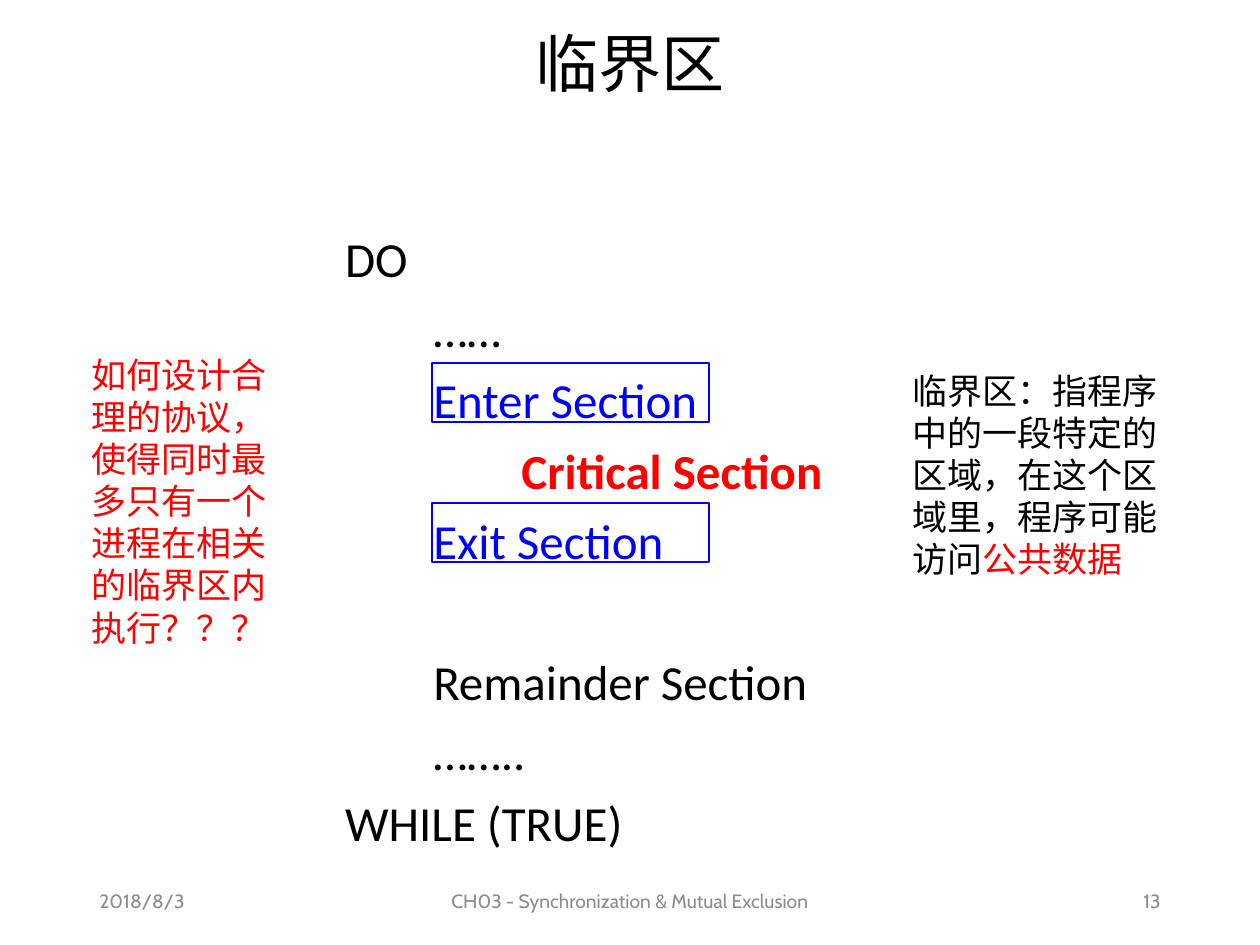
from pptx import Presentation
from pptx.dml.color import RGBColor
from pptx.enum.shapes import MSO_SHAPE
from pptx.enum.text import MSO_ANCHOR, PP_ALIGN
from pptx.oxml.ns import qn
from pptx.util import Inches, Pt
from lxml.etree import SubElement

BLACK, RED, BLUE, GRAY = "000000", "FF0000", "0000FF", "8C8C8C"
CHINESE = "Noto Sans CJK SC"

TITLE = "临界区"
# Code lines: row, indent level, text, colour, bold
CODE = [
    (0, 0, "DO", BLACK, False),
    (1, 1, "……", BLACK, False),
    (2, 1, "Enter Section", BLUE, False),
    (3, 2, "Critical Section", RED, True),
    (4, 1, "Exit Section", BLUE, False),
    (6, 1, "Remainder Section", BLACK, False),
    (7, 1, "……..", BLACK, False),
    (8, 0, "WHILE (TRUE)", BLACK, False),
]
FRAMED_ROWS = [2, 4]
# Side notes: box, then runs of text and colour
NOTES = [
    ((6.64, 2.88, 2.85, 1.78),
     [("临界区：指程序中的一段特定的区域，在这个区域里，程序可能访问", BLACK),
      ("公共数据", RED)]),
    ((0.13, 2.76, 2.28, 2.46),
     [("如何设计合理的协议，使得同时最多只有一个进程在相关的临界区内执行？？？", RED)]),
]
FOOTER = [
    (0.69, 2.25, "2018/8/3", PP_ALIGN.LEFT),
    (3.31, 3.38, "CH03 - Synchronization & Mutual Exclusion", PP_ALIGN.CENTER),
    (7.06, 2.25, "13", PP_ALIGN.RIGHT),
]
CODE_BOX = (2.64, 1.67, 4.65, 5.15)
ROW_PITCH = 0.555
INDENT = 0.7


def color(value):
    return RGBColor.from_string(value)


def add_box(box, anchor=MSO_ANCHOR.TOP):
    frame = slide.shapes.add_textbox(*map(Inches, box)).text_frame
    frame.word_wrap = True
    frame.vertical_anchor = anchor
    return frame


def write(paragraph, text, size=28, font="Calibri", fill=BLACK, bold=False,
          align=PP_ALIGN.LEFT, spacing=1.0, indent=0, before=0):
    paragraph.alignment = align
    paragraph.line_spacing = spacing
    paragraph.space_before = Pt(before)
    properties = paragraph._p.get_or_add_pPr()
    properties.set("marL", str(Inches(indent)))
    properties.set("indent", "0")
    run = paragraph.add_run()
    run.text = text
    run.font.size = Pt(size)
    run.font.name = font
    run.font.bold = bold
    run.font.color.rgb = color(fill)
    SubElement(run.font._element, qn("a:ea")).set("typeface", font)


presentation = Presentation()
presentation.slide_width, presentation.slide_height = Inches(10), Inches(7.5)
slide = presentation.slides.add_slide(presentation.slide_layouts[6])

# Title
title = add_box((0.69, 0.15, 8.62, 0.76), MSO_ANCHOR.MIDDLE)
write(title.paragraphs[0], TITLE, size=36, font=CHINESE,
      align=PP_ALIGN.CENTER, spacing=0.9)

# Footer
for left, width, text, align in FOOTER:
    footer = add_box((left, 6.95, width, 0.4), MSO_ANCHOR.MIDDLE)
    write(footer.paragraphs[0], text, size=11, font="Cabin", fill=GRAY, align=align)

# Code, with skipped rows turned into space before
code = add_box(CODE_BOX)
next_row = 0
for row, level, text, fill, bold in CODE:
    paragraph = code.add_paragraph() if row else code.paragraphs[0]
    write(paragraph, text, fill=fill, bold=bold, spacing=1.2,
          indent=level * INDENT, before=round((row - next_row) * ROW_PITCH * 72))
    next_row = row + 1

# Frames around the entry and exit sections
for row in FRAMED_ROWS:
    top = CODE_BOX[1] + 0.1 + row * ROW_PITCH
    frame = slide.shapes.add_shape(
        MSO_SHAPE.RECTANGLE, *map(Inches, (3.43, top, 2.2, 0.47)))
    frame.shadow.inherit = False
    frame.fill.background()
    frame.line.color.rgb = color(BLUE)
    frame.line.width = Pt(1)

# Side notes
for box, runs in NOTES:
    note = add_box(box)
    for text, fill in runs:
        write(note.paragraphs[0], text, size=20, font=CHINESE, fill=fill, indent=0.5)

presentation.save("out.pptx")
